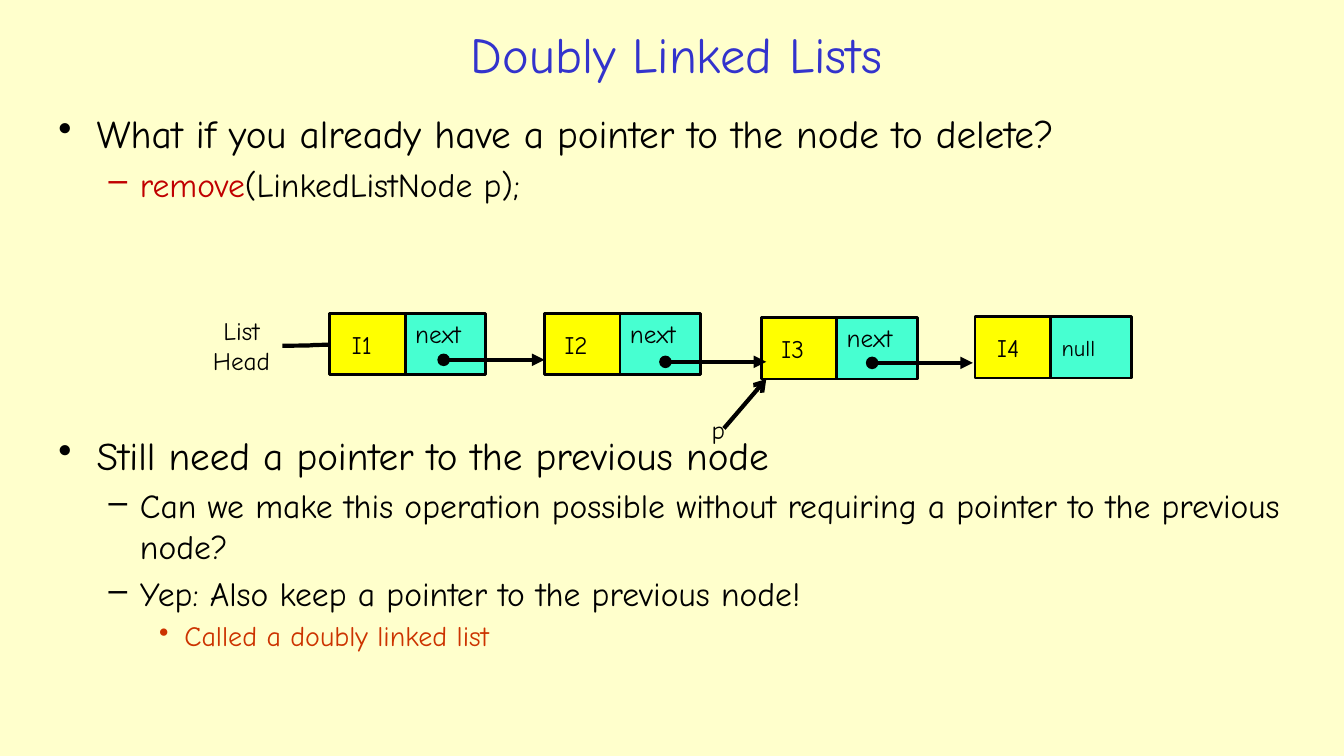
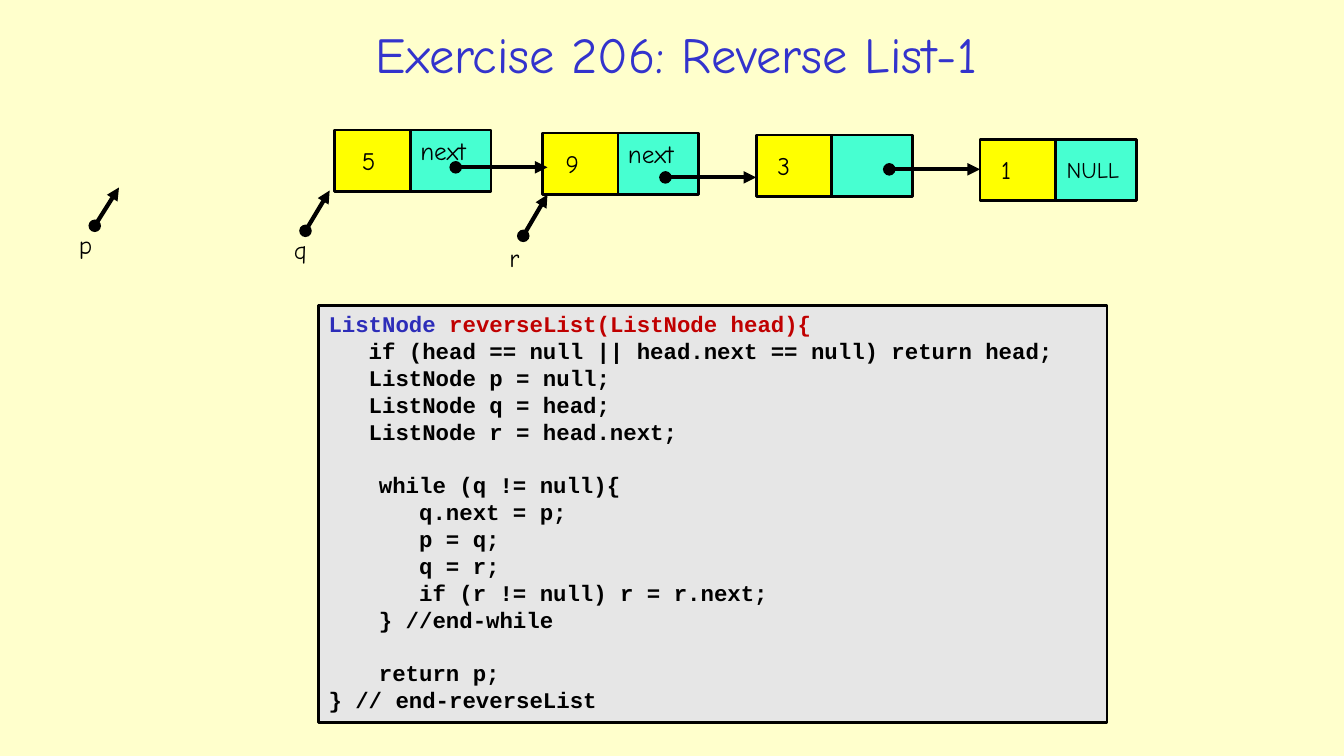
from lxml import etree
from pptx import Presentation
from pptx.dml.color import RGBColor
from pptx.enum.shapes import MSO_CONNECTOR, MSO_SHAPE
from pptx.enum.text import MSO_ANCHOR, PP_ALIGN
from pptx.oxml.ns import qn
from pptx.util import Inches, Pt

RECTANGLE = MSO_SHAPE.RECTANGLE
STRAIGHT, CURVE = MSO_CONNECTOR.STRAIGHT, MSO_CONNECTOR.CURVE
TOP, MIDDLE = MSO_ANCHOR.TOP, MSO_ANCHOR.MIDDLE
LEFT, CENTER = PP_ALIGN.LEFT, PP_ALIGN.CENTER

HAND_FONT, CODE_FONT = "Comic Neue", "Courier New"
CREAM, BLACK, TITLE_BLUE = "FFFFCC", "000000", "3333CC"
ITEM_YELLOW, LINK_GREEN, CODE_GREY = "FFFF00", "47FFD1", "E6E6E6"
KEYWORD_BLUE, RED, ORANGE = "2D2DB9", "C00000", "CC3300"

ITEM_WIDTH, LINK_WIDTH, NODE_HEIGHT = 0.75, 0.8, 0.61
CODE_PITCH = Pt(19.2)

# level: (bullet, left margin, hanging indent, text size, space before)
BULLET_LEVELS = [
    ("•", 0.38, 0.38, 28, 5),
    ("–", 0.81, 0.31, 24, 5),
    ("•", 1.25, 0.25, 20, 4),
]


def rgb(hex_color):
    return RGBColor.from_string(hex_color)


def add_run(paragraph, text, size, color=BLACK, font=HAND_FONT, bold=False):
    run = paragraph.add_run()
    run.text = text
    run.font.name = font
    run.font.size = Pt(size)
    run.font.bold = bold
    run.font.color.rgb = rgb(color)


def paragraphs(frame, count):
    """Return the frame's first paragraph and as many new ones as needed."""
    return [frame.paragraphs[0]] + [frame.add_paragraph() for _ in range(count - 1)]


def add_text_box(shapes, left, top, width, height, wrap=True):
    box = shapes.add_textbox(Inches(left), Inches(top), Inches(width), Inches(height))
    box.text_frame.word_wrap = wrap
    return box.text_frame


def add_title(slide, text):
    frame = add_text_box(slide.shapes, 2, 0.15, 9.42, 0.76)
    frame.vertical_anchor = MIDDLE
    frame.paragraphs[0].alignment = CENTER
    add_run(frame.paragraphs[0], text, 36, TITLE_BLUE)


def add_bullets(slide, top, height, points):
    """Each point is (level, [(text, color), ...])."""
    frame = add_text_box(slide.shapes, 0.48, top, 12.54, height)
    for index, (paragraph, (level, runs)) in enumerate(
            zip(paragraphs(frame, len(points)), points)):
        bullet, margin, hanging, size, before = BULLET_LEVELS[level]
        paragraph.level = level
        paragraph.space_before = Pt(before if index else 0)
        properties = paragraph._p.get_or_add_pPr()
        properties.set("marL", str(Inches(margin)))
        properties.set("indent", str(-Inches(hanging)))
        etree.SubElement(properties, qn("a:buChar")).set("char", bullet)
        for text, color in runs:
            add_run(paragraph, text, size, color)


def add_label(shapes, left, top, width, lines):
    """Centred label of one or more lines."""
    frame = add_text_box(shapes, left, top, width, 0.1 + 0.3 * len(lines), wrap=False)
    for paragraph, line in zip(paragraphs(frame, len(lines)), lines):
        paragraph.alignment = CENTER
        add_run(paragraph, line, 18)


def add_rectangle(slide, left, top, width, height, fill):
    rectangle = slide.shapes.add_shape(
        RECTANGLE, Inches(left), Inches(top), Inches(width), Inches(height))
    rectangle.shadow.inherit = False
    rectangle.fill.solid()
    rectangle.fill.fore_color.rgb = rgb(fill)
    rectangle.line.color.rgb = rgb(BLACK)
    rectangle.line.width = Pt(2)
    frame = rectangle.text_frame
    frame.word_wrap = True
    frame.vertical_anchor = TOP
    frame.paragraphs[0].alignment = LEFT
    return frame


def add_node(slide, left, top, item, item_inset, link):
    """List node: an item cell followed by a link cell."""
    link_cell = add_rectangle(
        slide, left + ITEM_WIDTH, top, LINK_WIDTH, NODE_HEIGHT, LINK_GREEN)
    if link == "next":
        add_run(link_cell.paragraphs[0], link, 18)
    elif link:
        link_cell.vertical_anchor = MIDDLE
        link_cell.margin_left = Inches(0.11)
        link_cell.margin_right = 0
        add_run(link_cell.paragraphs[0], link, 16)

    item_cell = add_rectangle(slide, left, top, ITEM_WIDTH, NODE_HEIGHT, ITEM_YELLOW)
    item_cell.vertical_anchor = MIDDLE
    item_cell.margin_left = Inches(item_inset)
    add_run(item_cell.paragraphs[0], item, 18)


def add_arrow(shapes, start, end, head="oval", tail="triangle", kind=STRAIGHT):
    arrow = shapes.add_connector(kind, *map(Inches, start + end))
    arrow.line.color.rgb = rgb(BLACK)
    arrow.line.width = Pt(3)
    line = arrow.line._get_or_add_ln()
    for tag, end_type in (("a:headEnd", head), ("a:tailEnd", tail)):
        if end_type:
            etree.SubElement(line, qn(tag)).set("type", end_type)
    etree.SubElement(arrow._element.spPr, qn("a:effectLst"))


def add_pointer(slide, name, label_left, label_top, label_width, start, end,
                head="oval", tail="triangle"):
    """Named pointer variable: its arrow grouped with its label."""
    shapes = slide.shapes.add_group_shape().shapes
    add_arrow(shapes, start, end, head, tail)
    add_label(shapes, label_left, label_top, label_width, [name])


def add_code(slide, left, top, width, height, lines):
    """Each line is (margin, line gaps before, [(text, color), ...])."""
    frame = add_rectangle(slide, left, top, width, height, CODE_GREY)
    for paragraph, (margin, gaps, runs) in zip(paragraphs(frame, len(lines)), lines):
        paragraph.alignment = LEFT
        paragraph.line_spacing = CODE_PITCH
        paragraph.space_before = CODE_PITCH * gaps
        paragraph._p.get_or_add_pPr().set("marL", str(Inches(margin)))
        for text, color in runs:
            add_run(paragraph, text, 16, color, CODE_FONT, bold=True)


def add_list(slide, nodes, links):
    for node in nodes:
        add_node(slide, *node)
    for start_x, end_x, y in links:
        add_arrow(slide.shapes, (start_x, y), (end_x, y))


def build_doubly_linked(slide):
    add_title(slide, "Doubly Linked Lists")
    add_bullets(slide, 1.04, 1.2, [
        (0, [("What if you already have a pointer to the node to delete?", BLACK)]),
        (1, [("remove", RED), ("(LinkedListNode p);", BLACK)]),
    ])
    add_bullets(slide, 4.23, 3.04, [
        (0, [("Still need a pointer to the previous node", BLACK)]),
        (1, [("Can we make this operation possible without requiring "
              "a pointer to the previous node?", BLACK)]),
        (1, [("Yep: Also keep a pointer to the previous node!", BLACK)]),
        (2, [("Called a doubly linked list", ORANGE)]),
    ])
    add_arrow(slide.shapes, (2.8, 3.43), (3.39, 3.42), head=None, kind=CURVE)
    add_label(slide.shapes, 1.99, 3.08, 0.81, ["List", "Head"])
    add_pointer(slide, "p", 6.96, 4.06, 0.24, (7.18, 4.25), (7.6, 3.76),
                head=None, tail="arrow")
    add_list(
        slide,
        [(3.27, 3.11, "I1", 0.22, "next"),
         (5.4, 3.11, "I2", 0.2, "next"),
         (7.55, 3.15, "I3", 0.2, "next"),
         (9.67, 3.14, "I4", 0.22, "null")],
        [(4.4, 5.4, 3.57), (6.6, 7.6, 3.59), (8.65, 9.65, 3.6)])


def build_reverse_list(slide):
    add_title(slide, "Exercise 206: Reverse List-1")
    add_list(
        slide,
        [(3.32, 1.29, "5", 0.27, "next"),
         (5.38, 1.32, "9", 0.23, "next"),
         (7.5, 1.34, "3", 0.21, None),
         (9.72, 1.38, "1", 0.21, "NULL")],
        [(4.52, 5.43, 1.66), (6.6, 7.5, 1.76), (8.82, 9.72, 1.68)])
    add_pointer(slide, "p", 0.68, 2.23, 0.34, (0.94, 2.24), (1.18, 1.86))
    add_pointer(slide, "q", 2.81, 2.28, 0.34, (3.03, 2.29), (3.27, 1.89))
    add_pointer(slide, "r", 4.94, 2.36, 0.32, (5.19, 2.34), (5.43, 1.93))
    add_code(slide, 3.16, 3.03, 7.82, 4.14, [
        (0, 0, [("ListNode ", KEYWORD_BLUE), ("reverseList(ListNode head){", RED)]),
        (0, 0, [("   if (head == null || head.next == null) return head;", BLACK)]),
        (0, 0, [("   ListNode p = null;", BLACK)]),
        (0, 0, [("   ListNode q = head;", BLACK)]),
        (0, 0, [("   ListNode r = head.next;", BLACK)]),
        (0.5, 1, [("while (q != null){", BLACK)]),
        (0.5, 0, [("   q.next = p;", BLACK)]),
        (0.5, 0, [("   p = q;", BLACK)]),
        (0.5, 0, [("   q = r;", BLACK)]),
        (0.5, 0, [("   if (r != null) r = r.next;", BLACK)]),
        (0.5, 0, [("} //end-while", BLACK)]),
        (0.5, 1, [("return p;", BLACK)]),
        (0, 0, [("} // end-reverseList", BLACK)]),
    ])


def main():
    deck = Presentation()
    deck.slide_width, deck.slide_height = Inches(13.33), Inches(7.5)
    background = deck.slide_master.background.fill
    background.solid()
    background.fore_color.rgb = rgb(CREAM)
    blank = deck.slide_layouts[6]
    for build in (build_doubly_linked, build_reverse_list):
        build(deck.slides.add_slide(blank))
    deck.save("out.pptx")


if __name__ == "__main__":
    main()
